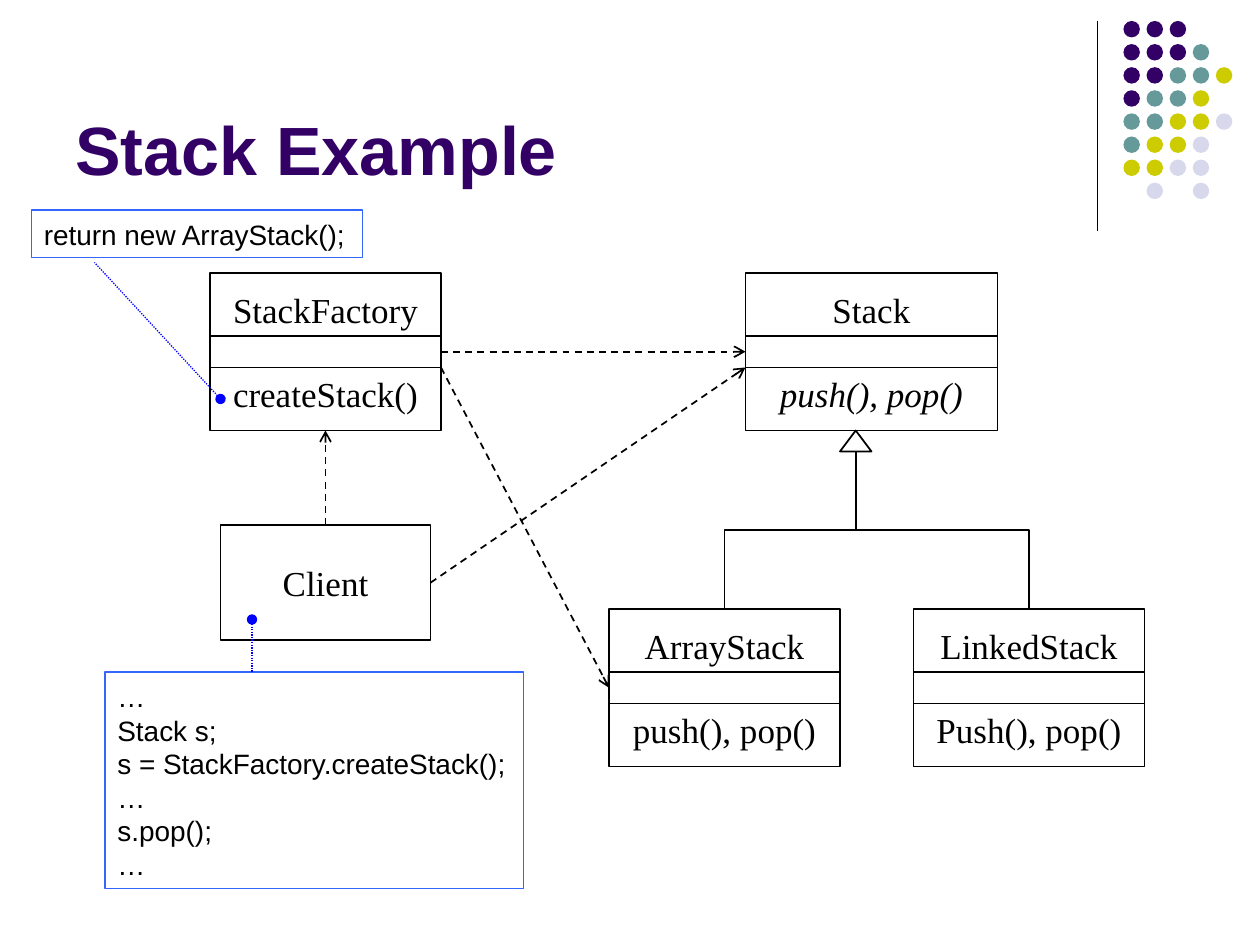
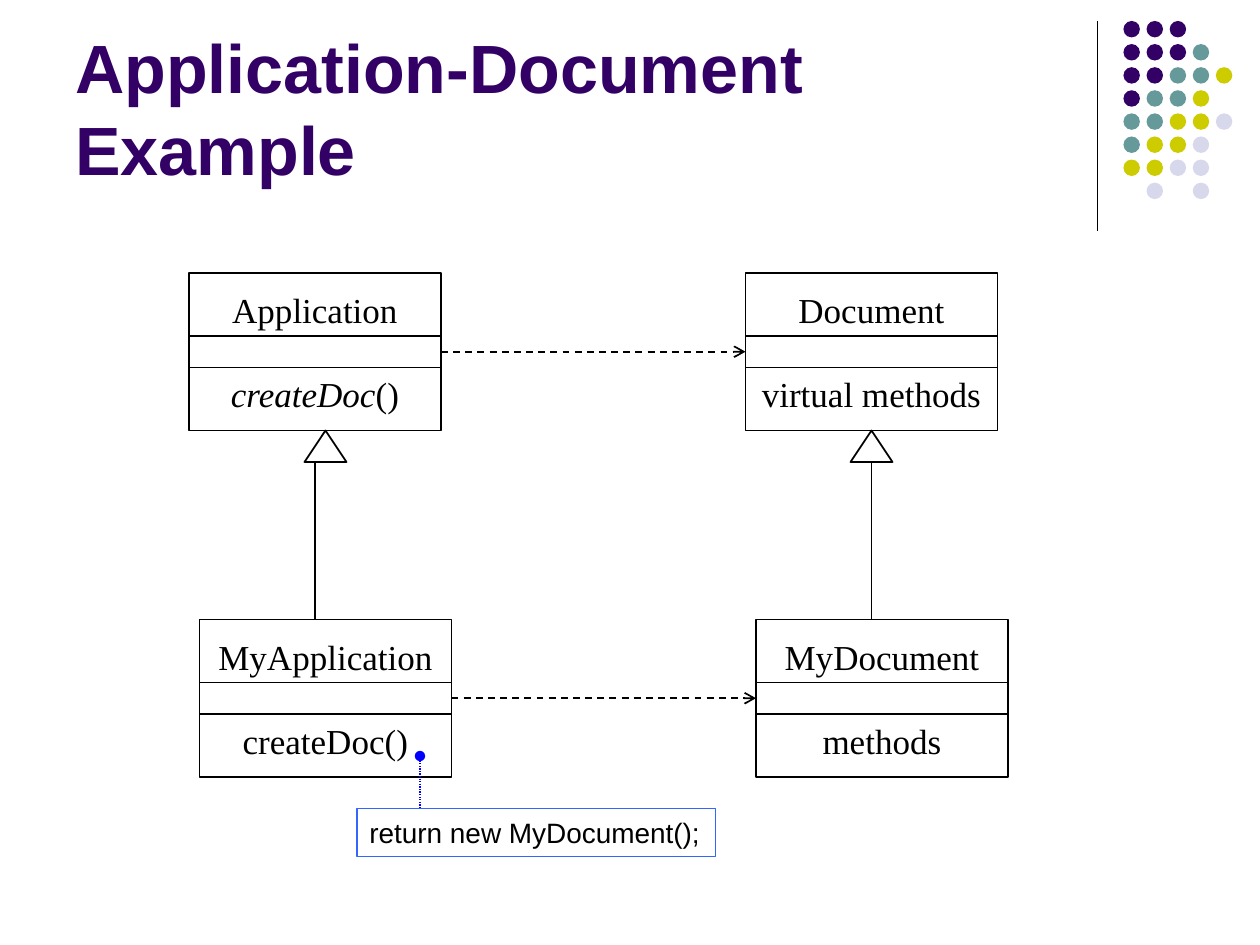
from lxml import etree
from pptx import Presentation
from pptx.dml.color import RGBColor
from pptx.enum import dml, shapes, text
from pptx.oxml import ns
from pptx.util import Pt

PURPLE = RGBColor(0x33, 0x00, 0x66)
TEAL = RGBColor(0x66, 0x99, 0x99)
OLIVE = RGBColor(0xCC, 0xCC, 0x00)
LILAC = RGBColor(0xD8, 0xD8, 0xEC)
BLACK = RGBColor(0x00, 0x00, 0x00)
NOTE_EDGE = RGBColor(0x33, 0x66, 0xFF)
NOTE_LINK = RGBColor(0x00, 0x00, 0xFF)

DOT_COLORS = {"P": PURPLE, "T": TEAL, "Y": OLIVE, "L": LILAC}
DOT_ROWS = ["PPP", "PPPT", "PPTTY", "PTTY", "TTYYL", "TYYL", "YYLL", " L L"]
DOT_LEFT, DOT_TOP, DOT_PITCH, DOT_SIZE = 642, 12, 13.2, 9.4

SANS, SERIF = "Arial", "Times New Roman"
LEADING = 1.2
TOP, LEFT, BOTTOM, RIGHT = range(4)


class Diagram:
    """Holds the shared style and the slide being drawn."""

    def __init__(self, prs):
        self.prs = prs
        self.s = None

    def new_slide(self, title):
        self.s = self.prs.slides.add_slide(self.prs.slide_layouts[6])
        self.line((627, 12), (627, 132), width=0.75)
        for row, letters in enumerate(DOT_ROWS):
            for col, letter in enumerate(letters):
                if letter in DOT_COLORS:
                    self.shape(shapes.MSO_SHAPE.OVAL,
                               DOT_LEFT + col * DOT_PITCH, DOT_TOP + row * DOT_PITCH,
                               DOT_SIZE, DOT_SIZE, fill=DOT_COLORS[letter])
        box = self.s.shapes.add_textbox(Pt(36), Pt(9.5), Pt(594), Pt(102))
        self.add_text(box, [[(title, False)]], SANS, 39, PURPLE,
                      anchor=text.MSO_ANCHOR.BOTTOM, bold=True)

    def shape(self, kind, x, y, w, h, fill=None, edge=None, width=1):
        sp = self.s.shapes.add_shape(kind, Pt(x), Pt(y), Pt(w), Pt(h))
        sp.shadow.inherit = False
        if fill is None:
            sp.fill.background()
        else:
            sp.fill.solid()
            sp.fill.fore_color.rgb = fill
        if edge is None:
            sp.line.fill.background()
        else:
            sp.line.color.rgb = edge
            sp.line.width = Pt(width)
        return sp

    def add_text(self, sp, paragraphs, font, size, color=BLACK, align=text.PP_ALIGN.LEFT,
                 anchor=text.MSO_ANCHOR.MIDDLE, gap=0, bold=False):
        """Fill a shape with paragraphs, each a list of (text, italic) runs."""
        tf = sp.text_frame
        tf.word_wrap = True
        tf.vertical_anchor = anchor
        for i, runs in enumerate(paragraphs):
            p = tf.add_paragraph() if i else tf.paragraphs[0]
            p.alignment = align
            p.line_spacing = Pt(size * LEADING)
            p.space_before = Pt(gap if i else 0)
            for words, italic in runs:
                r = p.add_run()
                r.text = words
                r.font.name, r.font.size = font, Pt(size)
                r.font.bold, r.font.italic = bold, italic
                r.font.color.rgb = color

    def box(self, x, y, w, h, *paragraphs):
        sp = self.shape(shapes.MSO_SHAPE.RECTANGLE, x, y, w, h, edge=BLACK)
        self.add_text(sp, paragraphs, SERIF, 20, align=text.PP_ALIGN.CENTER, gap=24)
        return sp

    def uml_class(self, x, y, w, name, *method_runs):
        """Three-compartment box: name, empty attributes, methods."""
        sp = self.box(x, y, w, 90, [(name, False)], method_runs)
        for offset in (36, 54):
            self.line((x, y + offset), (x + w, y + offset))
        return sp

    def note(self, x, y, w, *code):
        sp = self.shape(shapes.MSO_SHAPE.RECTANGLE, x, y, w, 8 + 19.3 * len(code),
                        edge=NOTE_EDGE, width=0.75)
        self.add_text(sp, [[(words, False)] for words in code], SANS, 16)

    def style_line(self, cx, color, width):
        cx.line.color.rgb = color
        cx.line.width = Pt(width)
        etree.SubElement(cx._element.spPr, ns.qn("a:effectLst"))

    def line(self, start, end, color=BLACK, width=1, dash=None, head=None, tail=None):
        """Each end is an (x, y) point or a (shape, side) pair to join."""
        points = [e if isinstance(e[0], (int, float)) else (0, 0) for e in (start, end)]
        cx = self.s.shapes.add_connector(shapes.MSO_CONNECTOR.STRAIGHT,
                                         *[Pt(v) for point in points for v in point])
        if points[0] is not start:
            cx.begin_connect(*start)
        if points[1] is not end:
            cx.end_connect(*end)
        self.style_line(cx, color, width)
        if dash is not None:
            cx.line.dash_style = dash
        ln = cx._element.spPr.find(ns.qn("a:ln"))
        for tag, kind in (("a:headEnd", head), ("a:tailEnd", tail)):
            if kind:
                etree.SubElement(ln, ns.qn(tag), type=kind)

    def dependency(self, start, end):
        self.line(start, end, dash=dml.MSO_LINE.DASH, tail="arrow")

    def note_link(self, start, end):
        self.line(start, end, color=NOTE_LINK, width=0.75,
                  dash=dml.MSO_LINE.ROUND_DOT, head="oval")

    def triangle(self, x, y, w, h):
        self.shape(shapes.MSO_SHAPE.ISOSCELES_TRIANGLE, x, y, w, h, edge=BLACK)

    def rising_elbow(self, start, end):
        """Elbow that leaves upwards: a horizontal elbow turned a quarter."""
        (x1, y1), (x2, y2) = start, end
        mid_x, mid_y = (x1 + x2) / 2, (y1 + y2) / 2
        half_w, half_h = (y1 - y2) / 2, abs(x2 - x1) / 2
        to_right = x1 < x2
        side = half_w if to_right else -half_w
        cx = self.s.shapes.add_connector(
            shapes.MSO_CONNECTOR.ELBOW, Pt(mid_x - side), Pt(mid_y - half_h),
            Pt(mid_x + side), Pt(mid_y + half_h))
        cx._element.spPr.find(ns.qn("a:xfrm")).set("rot", str((270 if to_right else 90) * 60000))
        self.style_line(cx, BLACK, 1)


def stack_slide(d):
    d.new_slide("Stack Example")
    factory = d.uml_class(120, 156, 132, "StackFactory", ("createStack()", False))
    stack = d.uml_class(426, 156, 144, "Stack", ("push(), pop()", True))
    array_stack = d.uml_class(348, 348, 132, "ArrayStack", ("push(), pop()", False))
    d.uml_class(522, 348, 132, "LinkedStack", ("Push(), pop()", False))
    client = d.box(126, 300, 120, 66, [("Client", False)])

    d.triangle(480, 246, 18, 12)
    for subclass_x in (414, 588):
        d.rising_elbow((subclass_x, 348), (489, 258))

    d.dependency((factory, RIGHT), (stack, LEFT))
    d.dependency((client, TOP), (factory, BOTTOM))
    d.dependency((252, 210), (array_stack, LEFT))
    d.dependency((client, RIGHT), (426, 210))

    d.note(60, 384, 239, "…", "Stack s;", "s = StackFactory.createStack();",
           "…", "s.pop();", "…")
    d.note_link((144, 354), (144, 384))
    d.note(18, 120, 189, "return new ArrayStack();")
    d.note_link((126, 228), (54, 150))


def document_slide(d):
    d.new_slide("Application-Document Example")
    app = d.uml_class(108, 156, 144, "Application", ("createDoc", True), ("()", False))
    doc = d.uml_class(426, 156, 144, "Document", ("virtual methods", False))
    my_app = d.uml_class(114, 354, 144, "MyApplication", ("createDoc()", False))
    my_doc = d.uml_class(432, 354, 144, "MyDocument", ("methods", False))
    d.dependency((app, RIGHT), (doc, LEFT))
    d.dependency((my_app, RIGHT), (my_doc, LEFT))

    for line_x, triangle_x in ((180, 174), (498, 486)):
        d.line((line_x, 264), (line_x, 354), width=0.75)
        d.triangle(triangle_x, 246, 24, 18)

    d.note(204, 462, 205, "return new MyDocument();")
    d.note_link((240, 432), (240, 462))


def main():
    prs = Presentation()
    prs.slide_width, prs.slide_height = Pt(720), Pt(540)
    d = Diagram(prs)
    stack_slide(d)
    document_slide(d)
    prs.save("out.pptx")


if __name__ == "__main__":
    main()
